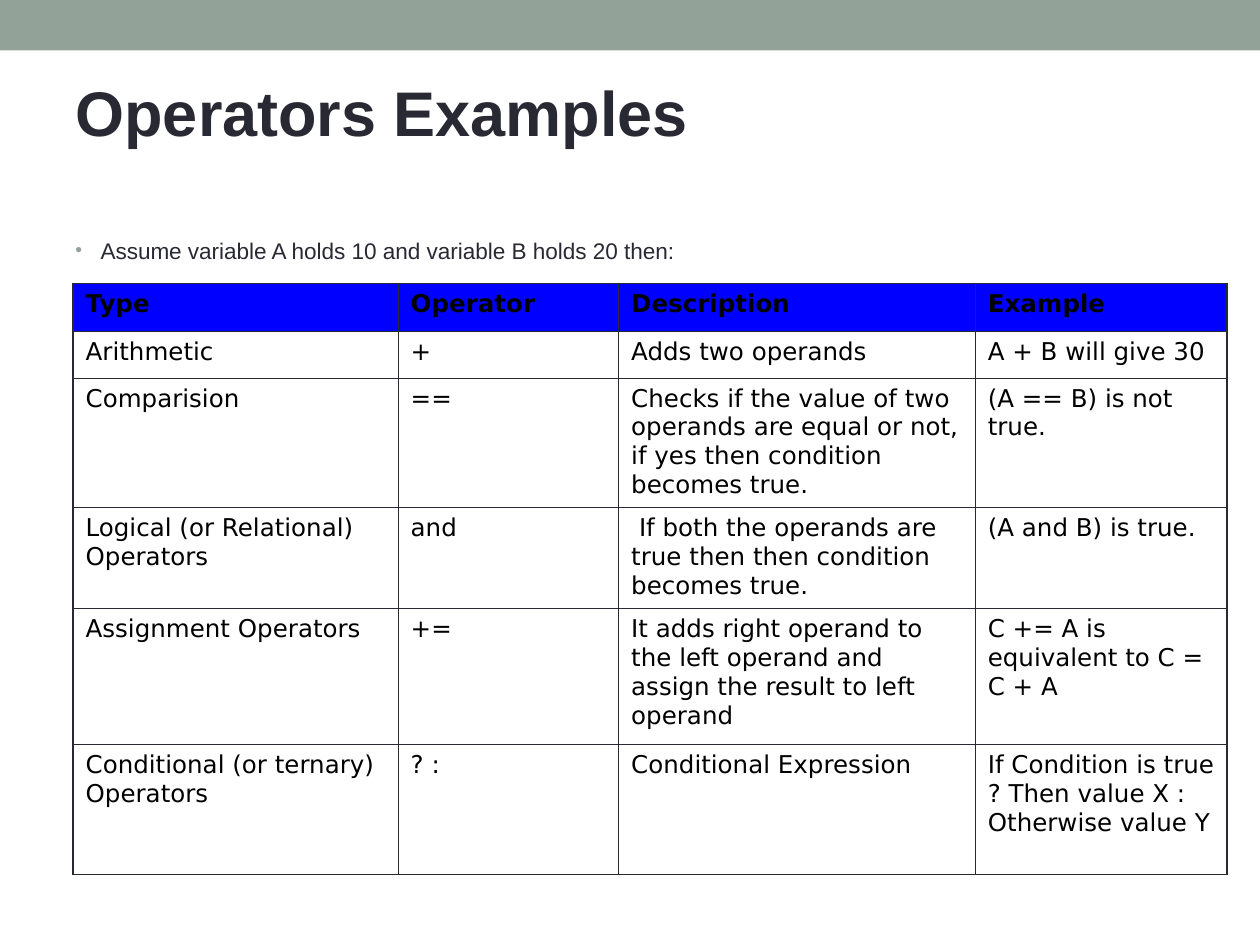
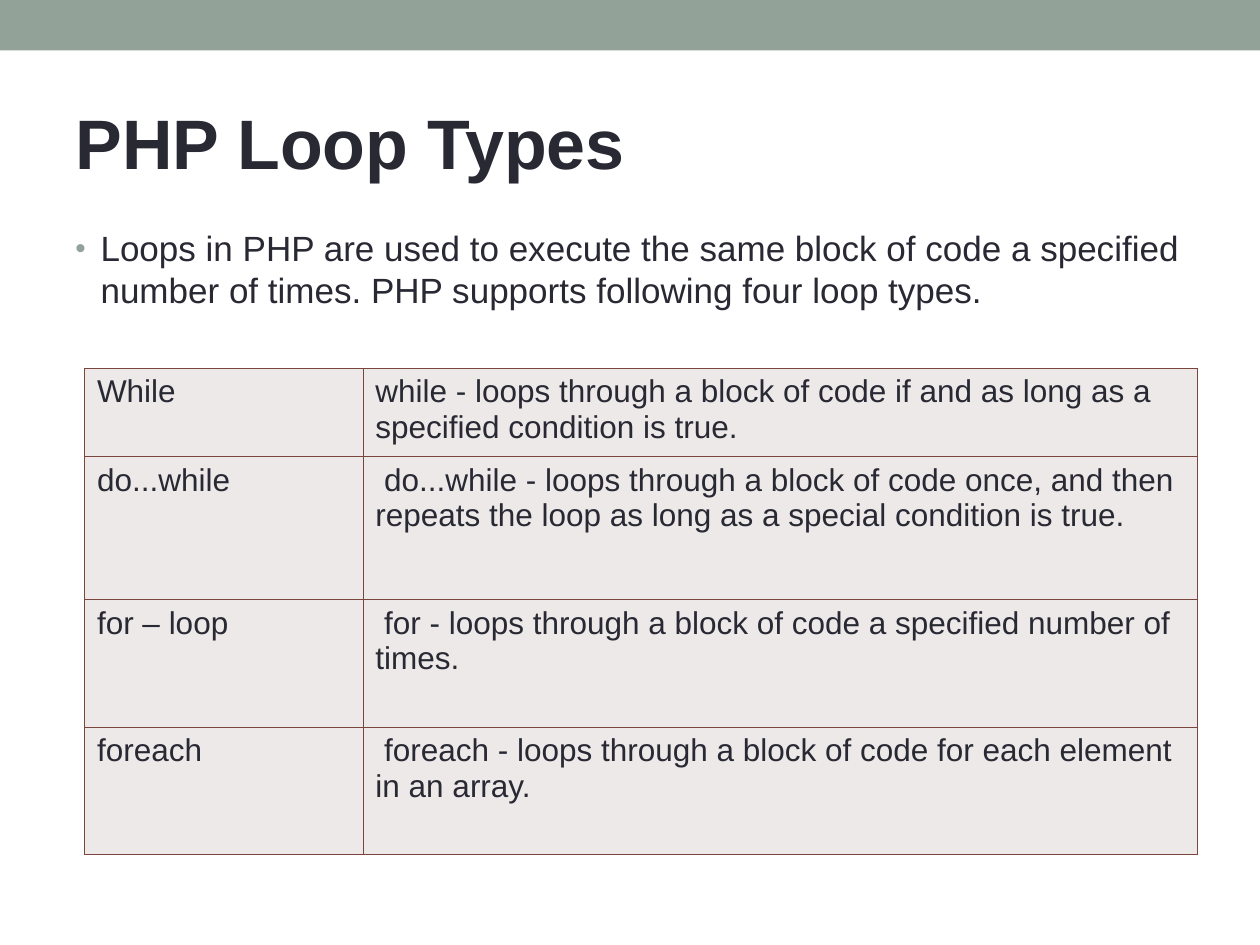
from lxml.etree import SubElement
from pptx import Presentation
from pptx.dml.color import RGBColor
from pptx.enum.shapes import MSO_SHAPE
from pptx.enum.text import MSO_ANCHOR, PP_ALIGN
from pptx.oxml.ns import qn
from pptx.util import Inches, Pt

INK = "292934"
SAGE = "93A299"
BLACK = "000000"
BLUE = "0000FF"
BROWN = "79463D"
PALE = "ECE9E8"
LEFT = 0.5

OPERATORS = [
    ["Type", "Operator", "Description", "Example"],
    ["Arithmetic", "+", "Adds two operands", "A + B will give 30"],
    ["Comparision", "==",
     "Checks if the value of two operands are equal or not, if yes then condition becomes true.",
     "(A == B) is not true."],
    ["Logical (or Relational) Operators", "and",
     " If both the operands are true then then condition becomes true.",
     "(A and B) is true."],
    ["Assignment Operators", "+=",
     "It adds right operand to the left operand and assign the result to left operand",
     "C += A is equivalent to C = C + A"],
    ["Conditional (or ternary) Operators", "? :", "Conditional Expression",
     "If Condition is true ? Then value X : Otherwise value Y"],
]
LOOPS = [
    ["While",
     "while - loops through a block of code if and as long as a specified condition is true."],
    ["do...while",
     " do...while - loops through a block of code once, and then repeats the loop "
     "as long as a special condition is true."],
    ["for – loop", " for - loops through a block of code a specified number of times."],
    ["foreach", " foreach - loops through a block of code for each element in an array."],
]


def color(value):
    """Turn a hex string into a colour."""
    return RGBColor.from_string(value)


class LessonDeck:
    """Hold the lesson style and the page being filled."""

    def __init__(self):
        """Start an empty deck."""
        self.deck = Presentation()
        self.deck.slide_width = Inches(10)
        self.deck.slide_height = Inches(7.5)
        self.page = None

    def add_span(self, para, text, size, font="Arial", ink=INK, bold=False):
        """Add one styled run to a paragraph."""
        span = para.add_run()
        span.text = text
        span.font.name = font
        span.font.size = Pt(size)
        span.font.bold = bold
        span.font.color.rgb = color(ink)

    def add_page(self, title, size, height):
        """Open a page with the top band and its title."""
        self.page = self.deck.slides.add_slide(self.deck.slide_layouts[5])
        band = self.page.shapes.add_shape(
            MSO_SHAPE.RECTANGLE, 0, 0, self.deck.slide_width, Inches(0.4))
        band.shadow.inherit = False
        band.fill.solid()
        band.fill.fore_color.rgb = color(SAGE)
        band.line.fill.background()
        box = self.page.shapes.title
        box.left, box.top = Inches(LEFT), Inches(0.58)
        box.width, box.height = Inches(9), Inches(height)
        box.text_frame.vertical_anchor = MSO_ANCHOR.MIDDLE
        para = box.text_frame.paragraphs[0]
        para.alignment = PP_ALIGN.LEFT
        self.add_span(para, title, size, bold=True)

    def add_bullet(self, text, size, top, width, height):
        """Add a bulleted sentence."""
        box = self.page.shapes.add_textbox(
            Inches(LEFT), Inches(top), Inches(width), Inches(height))
        box.text_frame.word_wrap = True
        para = box.text_frame.paragraphs[0]
        props = para._p.get_or_add_pPr()
        props.set("marL", str(Inches(0.2)))
        props.set("indent", str(Inches(-0.2)))
        tint = SubElement(props, qn("a:buClr"))
        SubElement(tint, qn("a:srgbClr"), val=SAGE)
        SubElement(props, qn("a:buSzPct"), val="85000")
        SubElement(props, qn("a:buFont"), typeface="Arial")
        SubElement(props, qn("a:buChar"), char="•")
        self.add_span(para, text, size)

    def add_border(self, cell, side, points, ink):
        """Draw one side of a cell."""
        line = SubElement(cell._tc.get_or_add_tcPr(), qn("a:ln" + side), w=str(Pt(points)))
        fill = SubElement(line, qn("a:solidFill"))
        SubElement(fill, qn("a:srgbClr"), val=ink)

    def add_grid(self, rows, left, top, widths, heights, size, border,
                 font="Arial", ink=INK, fill=None, header=None, outer=0.45):
        """Add a bordered table, with a filled header row if one is asked for."""
        frame = self.page.shapes.add_table(
            len(rows), len(widths), Inches(left), Inches(top),
            Inches(sum(widths)), Inches(sum(heights)))
        table = frame.table
        table.first_row = table.horz_banding = False
        for column, width in zip(table.columns, widths):
            column.width = Inches(width)
        for row, height in zip(table.rows, heights):
            row.height = Inches(height)
        for r, texts in enumerate(rows):
            is_header = header is not None and r == 0
            shade = header if is_header else fill
            for c, text in enumerate(texts):
                cell = table.cell(r, c)
                edges = {"L": c == 0, "R": c == len(widths) - 1,
                         "T": r == 0, "B": r == len(rows) - 1}
                for side, at_edge in edges.items():
                    self.add_border(cell, side, outer if at_edge else 0.45, border)
                if shade:
                    cell.fill.solid()
                    cell.fill.fore_color.rgb = color(shade)
                else:
                    cell.fill.background()
                self.add_span(cell.text_frame.paragraphs[0], text, size, font, ink, is_header)


def main():
    """Build both pages and save the deck."""
    lesson = LessonDeck()

    lesson.add_page("Operators Examples", 36, 0.61)
    lesson.add_grid(OPERATORS, 0.58, 2.25, [2.58, 1.75, 2.83, 2],
                    [0.38, 0.37, 1.03, 0.8, 1.08, 1.03], 14, INK,
                    font="DejaVu Sans", ink=BLACK, header=BLUE, outer=1.08)
    lesson.add_bullet("Assume variable A holds 10 and variable B holds 20 then:",
                      12.9, 1.83, 8.5, 0.33)

    lesson.add_page("PHP Loop Types", 40, 1.08)
    lesson.add_bullet("Loops in PHP are used to execute the same block of code a specified "
                      "number of times. PHP supports following four loop types.",
                      20, 1.75, 9, 5.33)
    lesson.add_grid(LOOPS, 0.67, 2.92, [2.21, 6.62], [0.7, 1.14, 1.01, 1.01],
                    18, BROWN, fill=PALE)

    lesson.deck.save("out.pptx")


if __name__ == "__main__":
    main()
